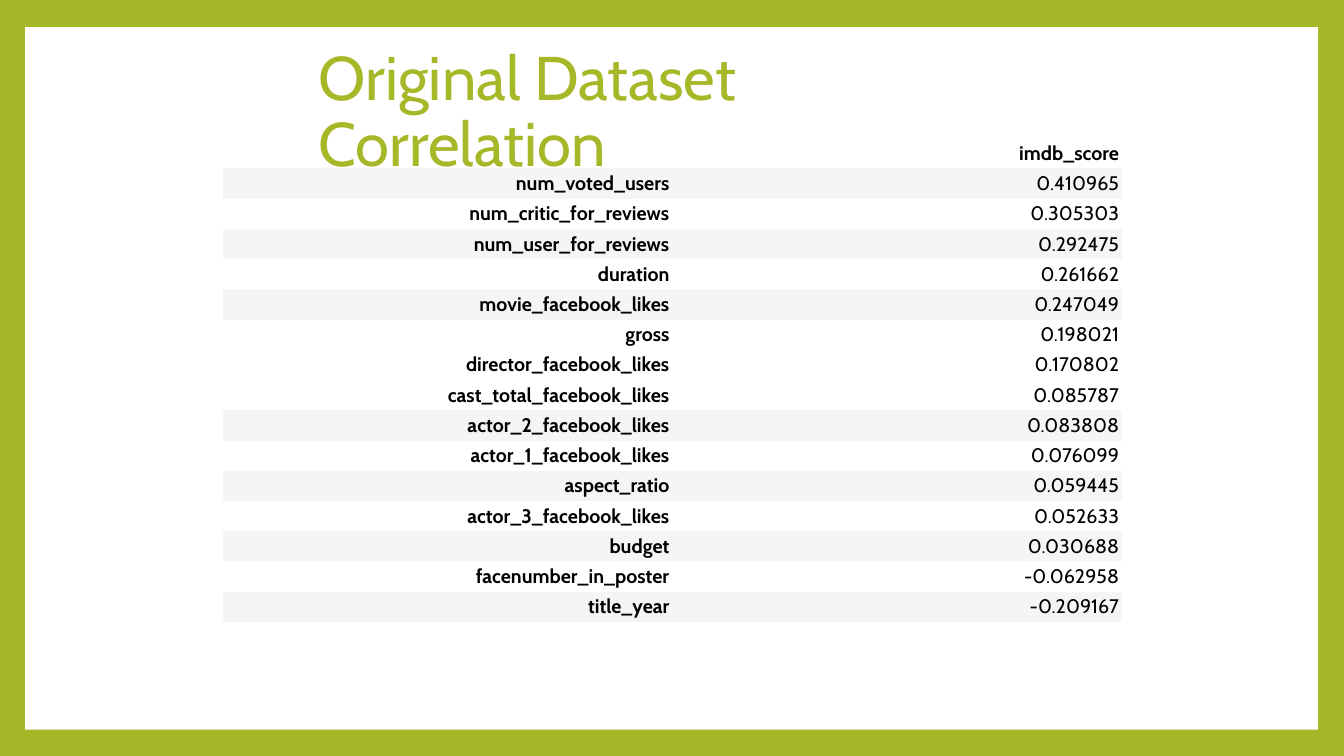
from dataclasses import dataclass

from pptx import Presentation
from pptx import util as u
from pptx.dml.color import RGBColor
from pptx.enum import shapes, text
from pptx.oxml.ns import qn


@dataclass(frozen=True)
class Theme:
    font: str = "Cabin"
    accent: RGBColor = RGBColor(0xA6, 0xB7, 0x27)
    panel: RGBColor = RGBColor(0xFF, 0xFF, 0xFF)
    band: RGBColor = RGBColor(0xF5, 0xF5, 0xF5)
    ink: RGBColor = RGBColor(0, 0, 0)
    title_size: u.Pt = u.Pt(44)
    table_size: u.Pt = u.Pt(14)


@dataclass(frozen=True)
class Correlation:
    feature: str
    score: str
    banded: bool = False


THEME = Theme()
NO_TABLE_STYLE = "{2D5ABB26-0587-4C30-8999-92F81FD0307C}"
ROW_HEIGHT = 0.3
CORRELATIONS = [
    Correlation("num_voted_users", "0.410965", True),
    Correlation("num_critic_for_reviews", "0.305303"),
    Correlation("num_user_for_reviews", "0.292475", True),
    Correlation("duration", "0.261662"),
    Correlation("movie_facebook_likes", "0.247049", True),
    Correlation("gross", "0.198021"),
    Correlation("director_facebook_likes", "0.170802"),
    Correlation("cast_total_facebook_likes", "0.085787"),
    Correlation("actor_2_facebook_likes", "0.083808", True),
    Correlation("actor_1_facebook_likes", "0.076099"),
    Correlation("aspect_ratio", "0.059445", True),
    Correlation("actor_3_facebook_likes", "0.052633"),
    Correlation("budget", "0.030688", True),
    Correlation("facenumber_in_poster", "-0.062958"),
    Correlation("title_year", "-0.209167", True),
]


def style_font(paragraph, size: u.Pt, color: RGBColor, bold: bool = False) -> None:
    font = paragraph.font
    font.name, font.size, font.bold = THEME.font, size, bold
    font.color.rgb = color


def add_frame(slide) -> None:
    background = slide.background.fill
    background.solid()
    background.fore_color.rgb = THEME.accent
    panel = slide.shapes.add_shape(
        shapes.MSO_SHAPE.RECTANGLE,
        u.Inches(0.25), u.Inches(0.27), u.Inches(12.82), u.Inches(6.97))
    panel.shadow.inherit = False
    panel.fill.solid()
    panel.fill.fore_color.rgb = THEME.panel
    panel.line.fill.background()
    # Send the panel behind the title placeholder
    slide.shapes.title._element.addprevious(panel._element)


def set_title(slide, wording: str) -> None:
    title = slide.shapes.title
    title.left, title.top = u.Inches(3.06), u.Inches(0.4)
    title.width, title.height = u.Inches(7.22), u.Inches(1.45)
    frame = title.text_frame
    frame.text = wording
    frame.word_wrap = True
    frame.auto_size = text.MSO_AUTO_SIZE.NONE
    frame.vertical_anchor = text.MSO_ANCHOR.MIDDLE
    paragraph = frame.paragraphs[0]
    paragraph.alignment = text.PP_ALIGN.LEFT
    paragraph.line_spacing = 0.9
    style_font(paragraph, THEME.title_size, THEME.accent)


def fill_cell(cell, wording: str, bold: bool, banded: bool) -> None:
    cell.text = wording
    cell.vertical_anchor = text.MSO_ANCHOR.MIDDLE
    cell.margin_left = cell.margin_right = u.Inches(0.03)
    cell.margin_top = cell.margin_bottom = u.Inches(0.03)
    if banded:
        cell.fill.solid()
        cell.fill.fore_color.rgb = THEME.band
    else:
        cell.fill.background()
    paragraph = cell.text_frame.paragraphs[0]
    paragraph.alignment = text.PP_ALIGN.RIGHT
    style_font(paragraph, THEME.table_size, THEME.ink, bold)


def add_correlation_table(slide, correlations: list[Correlation]) -> None:
    rows = [Correlation("", "imdb_score"), *correlations]
    table = slide.shapes.add_table(
        len(rows), 2, u.Inches(2.21), u.Inches(1.37),
        u.Inches(8.92), u.Inches(ROW_HEIGHT * len(rows))).table
    table.first_row = table.horz_banding = False
    table._tbl.tblPr.find(qn("a:tableStyleId")).text = NO_TABLE_STYLE
    for index, row in enumerate(rows):
        fill_cell(table.cell(index, 0), row.feature, True, row.banded)
        fill_cell(table.cell(index, 1), row.score, index == 0, row.banded)


def main() -> None:
    presentation = Presentation()
    presentation.slide_width = u.Inches(13.33)
    presentation.slide_height = u.Inches(7.5)
    # Title Only layout
    slide = presentation.slides.add_slide(presentation.slide_layouts[5])
    add_frame(slide)
    set_title(slide, "Original Dataset Correlation")
    add_correlation_table(slide, CORRELATIONS)
    presentation.save("out.pptx")


if __name__ == "__main__":
    main()
